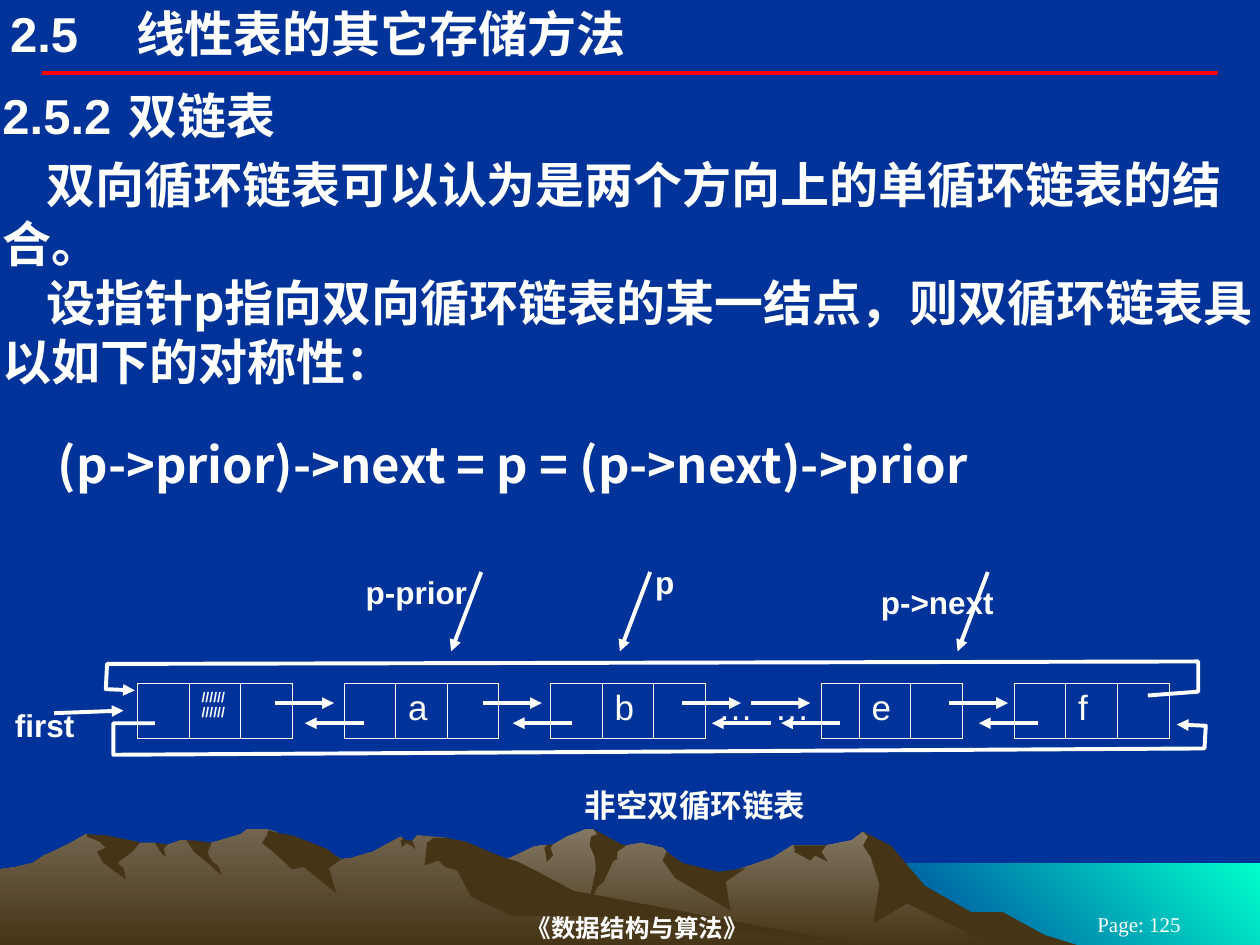
from lxml import etree
from pptx import Presentation
from pptx.dml.color import RGBColor
from pptx.enum.shapes import MSO_CONNECTOR
from pptx.enum.text import MSO_ANCHOR, MSO_AUTO_SIZE, PP_ALIGN
from pptx.oxml.ns import qn
from pptx.util import Inches, Pt

STRAIGHT = MSO_CONNECTOR.STRAIGHT
TOP, MIDDLE = MSO_ANCHOR.TOP, MSO_ANCHOR.MIDDLE
LEFT, CENTER = PP_ALIGN.LEFT, PP_ALIGN.CENTER
NO_AUTOFIT = MSO_AUTO_SIZE.NONE
NO_STYLE_GRID = "{2D5ABB26-0587-4C30-8999-92F81FD0307C}"
CJK_FONT = "Noto Sans CJK SC"
COLORS = {"background": "003399", "white": "FFFFFF", "rule": "FF0000", "sea": "00FFCC",
          "ridge": "837763", "front": "72644E", "rock": "463416"}

# Content
TITLE = "2.5\t线性表的其它存储方法"
SECTION = "2.5.2\t双链表"
EXPLANATION = [
    "双向循环链表可以认为是两个方向上的单循环链表的结合。",
    "设指针p指向双向循环链表的某一结点，则双循环链表具以如下的对称性：",
]
FORMULA = "(p->prior)->next = p = (p->next)->prior"
LABELS = [  # text, left, top, width, height
    ("first", 0.08, 5.56, 0.55, 0.39),
    ("非空双循环链表", 4.45, 6.19, 2.13, 0.39),
    ("p", 5.08, 4.46, 0.39, 0.32),
    ("p-prior", 3.11, 4.54, 0.39, 0.32),
    ("p->next", 6.89, 4.62, 1.1, 0.32),
]

# Doubly linked list: three cells per node, gap cells between nodes
CELL_TEXTS = {1: "////////////", 5: "a", 9: "b", 11: "…", 12: "…", 14: "e", 18: "f"}
GAPS = {3, 7, 11, 12, 16}
CELL_WIDTH, SPECIAL_WIDTHS = 0.41, {11: 0.45, 12: 0.47, 13: 0.3}
CELL_COUNT = 20
NEXT_STARTS = [2.18, 3.83, 5.41, 5.96, 7.53]
PRIOR_STARTS = [2.89, 4.54, 6.12, 6.67, 8.24]
POINTER_STARTS = [3.82, 5.16, 7.84]
LINK_LENGTH = 0.47
LOOPS = [
    [(1.23, 5.74), (0.9, 5.74), (0.9, 5.99), (9.56, 5.94), (9.57, 5.76), (9.34, 5.75)],
    [(9.11, 5.52), (9.51, 5.49), (9.51, 5.25), (0.85, 5.27), (0.84, 5.47), (1.07, 5.48)],
]

# Landscape outlines, from back to front
SEA = [(10, 7.52), (6.83, 7.52), (6.83, 6.85), (10, 6.85)]
BACK_RIDGE = [
    (8.02, 7.4), (7.78, 7.27), (7.64, 7.23), (7.23, 6.98), (7.02, 6.71), (6.85, 6.6), (6.76, 6.67),
    (6.56, 6.71), (6.29, 6.71), (6.13, 6.81), (5.66, 6.97), (5.36, 6.9), (5.29, 6.76), (5.26, 6.73),
    (5.09, 6.69), (4.86, 6.73), (4.74, 6.61), (4.71, 6.58), (4.65, 6.58), (4.5, 6.64), (4.38, 6.71),
    (4.3, 6.71), (4.24, 6.72), (4.05, 6.81), (3.94, 6.85), (3.55, 6.98), (3.27, 7.09), (2.77, 7.39),
    (2.58, 7.51), (8.21, 7.51)]
BACK_ROCKS = [
    [(7.96, 7.24), (7.71, 7.24), (7.34, 7.03), (7.07, 6.71), (6.85, 6.6), (6.89, 6.64), (6.85, 6.71),
     (6.91, 6.8), (6.98, 7.02), (6.93, 7.33), (7.2, 7.17), (7.92, 7.52), (8.58, 7.51), (8.29, 7.42)],
    [(4.71, 6.58), (4.74, 6.62), (4.69, 6.64), (4.68, 6.71), (4.72, 6.8), (4.73, 6.9), (4.65, 7.27),
     (4.74, 7.04), (4.79, 7), (4.87, 6.83), (4.9, 6.82), (4.9, 6.76), (4.97, 6.71), (4.93, 6.7)],
    [(5.29, 6.76), (5.26, 6.83), (5.36, 6.97), (5.8, 7.23), (5.76, 7), (5.92, 6.89), (5.7, 6.92),
     (5.42, 6.85)],
    [(6.5, 6.71), (6.3, 6.71), (6.31, 6.75), (6.3, 6.76), (6.43, 6.83), (6.47, 6.79), (6.57, 6.84),
     (6.52, 6.76), (6.56, 6.71)],
    [(4.33, 6.77), (4.32, 6.73), (4.34, 6.71), (4.39, 6.7), (4.37, 6.73), (4.39, 6.79), (4.34, 6.84)],
]
FRONT_RIDGE = [
    (6.9, 7.51), (6.67, 7.48), (4.32, 7.12), (3.54, 6.65), (3.31, 6.63), (3.27, 6.68), (3.23, 6.68),
    (3.18, 6.64), (2.96, 6.76), (2.79, 6.81), (2.71, 6.82), (2.6, 6.76), (2.36, 6.81), (2.23, 6.63),
    (2.19, 6.6), (2.12, 6.58), (1.96, 6.58), (1.91, 6.62), (1.78, 6.66), (1.6, 6.71), (1.48, 6.67),
    (1.43, 6.67), (1.32, 6.71), (1.28, 6.71), (1.23, 6.69), (1.11, 6.69), (0.94, 6.71), (0.68, 6.62),
    (0.56, 6.69), (0.46, 6.74), (0.35, 6.79), (0.26, 6.85), (0.14, 6.88), (0, 6.9), (0, 7.51)]
FRONT_ROCKS = [
    [(2.12, 6.63), (2.08, 6.69), (2.19, 6.78), (2.32, 6.9), (2.41, 6.88), (2.67, 7.09), (2.61, 6.89),
     (2.71, 6.82), (2.66, 6.79), (2.6, 6.74), (2.45, 6.68), (2.32, 6.63), (2.2, 6.61), (2.13, 6.59)],
    [(3.7, 6.68), (3.54, 6.65), (3.44, 6.65), (3.39, 6.69), (3.37, 6.87), (3.48, 6.83), (3.53, 6.88),
     (3.63, 6.91), (3.74, 7.12), (4.07, 7.27), (4.72, 7.27), (6.9, 7.51), (6.83, 7.5), (4.55, 7.07),
     (4.27, 6.92), (4.11, 6.84), (4.01, 6.81), (3.86, 6.75)],
    [(3.18, 6.67), (3.2, 6.66), (3.18, 6.64), (3.23, 6.67), (3.27, 6.67), (3.3, 6.74), (3.26, 6.71),
     (3.22, 6.69), (3.21, 6.71), (3.19, 6.72)],
    [(1.54, 6.67), (1.68, 6.69), (1.65, 6.76), (1.66, 6.8), (1.69, 6.84), (1.73, 6.87), (1.76, 6.95),
     (1.65, 6.85), (1.54, 6.76), (1.48, 6.67)],
    [(1.33, 6.7), (1.3, 6.74), (1.32, 6.8), (1.29, 6.78), (1.26, 6.74), (1.23, 6.69)],
    [(1.09, 6.68), (1.11, 6.69), (1.05, 6.76), (0.93, 6.85), (0.98, 6.89), (1, 6.98), (0.82, 6.85),
     (0.77, 6.76), (0.84, 6.73), (0.79, 6.68), (0.69, 6.64), (0.69, 6.62), (0.84, 6.63), (0.94, 6.65)],
]


def rgb(name):
    return RGBColor.from_string(COLORS[name])


def write(frame, paragraphs, size=28, font="Arial", bold=True, align=LEFT, anchor=TOP,
          wrap=True, insets=(0.02, 0.01), indent=0, tab=None):
    frame.word_wrap, frame.auto_size, frame.vertical_anchor = wrap, NO_AUTOFIT, anchor
    frame.margin_left = frame.margin_right = Inches(insets[0])
    frame.margin_top = frame.margin_bottom = Inches(insets[1])
    for number, content in enumerate(paragraphs):
        paragraph = frame.add_paragraph() if number else frame.paragraphs[0]
        paragraph.alignment = align
        paragraph.space_before = Pt(0)
        properties = paragraph._p.get_or_add_pPr()
        properties.set("marL", "0")
        properties.set("indent", str(Inches(indent)))
        etree.SubElement(properties, qn("a:buNone"))
        if tab:
            stops = etree.SubElement(properties, qn("a:tabLst"))
            etree.SubElement(stops, qn("a:tab"), pos=str(Inches(tab)), algn="l")
        run = paragraph.add_run()
        run.text = content
        run.font.size, run.font.bold, run.font.name = Pt(size), bold, font
        run.font.color.rgb = rgb("white")
        etree.SubElement(run._r.get_or_add_rPr(), qn("a:ea"), typeface=CJK_FONT)


def place(shape, *box):
    shape.left, shape.top, shape.width, shape.height = map(Inches, box)
    return shape.text_frame


def add_text(slide, content, box, **text_format):
    write(slide.shapes.add_textbox(*map(Inches, box)).text_frame, [content], **text_format)


def style_line(shape, color="white", arrow=True):
    shape.line.color.rgb = rgb(color)
    shape.line.width = Pt(2.25)
    if arrow:
        etree.SubElement(shape.element.xpath(".//a:ln")[0], qn("a:tailEnd"), type="triangle")


def add_line(slide, start, end, **line_format):
    line = slide.shapes.add_connector(STRAIGHT, *map(Inches, start + end))
    style_line(line, **line_format)
    etree.SubElement(line.element.spPr, qn("a:effectLst"))


def add_outline(slide, points, closed=True):
    first, *rest = [(Inches(x), Inches(y)) for x, y in points]
    builder = slide.shapes.build_freeform(*first)
    builder.add_line_segments(rest, close=closed)
    outline = builder.convert_to_shape()
    outline.shadow.inherit = False
    return outline


def add_land(slide, points, colors, angle=90):
    land = add_outline(slide, points)
    land.line.fill.background()
    if len(colors) == 1:
        land.fill.solid()
        land.fill.fore_color.rgb = rgb(colors[0])
        return
    land.fill.gradient()
    land.fill.gradient_angle = 360 - angle
    for stop, color in zip(land.fill.gradient_stops, colors):
        stop.color.rgb = rgb(color)


def add_list_table(slide):
    widths = [SPECIAL_WIDTHS.get(i, CELL_WIDTH) for i in range(CELL_COUNT)]
    frame = slide.shapes.add_table(1, CELL_COUNT, Inches(1.09), Inches(5.42),
                                   Inches(sum(widths)), Inches(0.44))
    frame.element.xpath(".//a:tableStyleId")[0].text = NO_STYLE_GRID
    table = frame.table
    table.first_row = table.horz_banding = False
    for i, width in enumerate(widths):
        table.columns[i].width = Inches(width)
        cell = table.cell(0, i)
        if i in CELL_TEXTS:
            hatched = i == 1
            write(cell.text_frame, [CELL_TEXTS[i]], size=8 if hatched else 20, bold=hatched)
        cell.margin_left = cell.margin_right = Inches(0.1)
        cell.margin_top = cell.margin_bottom = Inches(0.05)
        if i not in GAPS:
            for side in "LRTB":
                border = etree.SubElement(cell._tc.get_or_add_tcPr(), qn("a:ln" + side), w=str(Pt(0.45)))
                fill = etree.SubElement(border, qn("a:solidFill"))
                etree.SubElement(fill, qn("a:srgbClr"), val=COLORS["white"])
        cell.fill.background()


def main():
    deck = Presentation()
    deck.slide_width, deck.slide_height = Inches(10), Inches(7.5)
    slide = deck.slides.add_slide(deck.slide_layouts[1])
    slide.background.fill.solid()
    slide.background.fill.fore_color.rgb = rgb("background")

    # Landscape, title rule and footer
    add_land(slide, SEA, ["sea", "background"], angle=135)
    for ridge, color, rocks in ((BACK_RIDGE, "ridge", BACK_ROCKS), (FRONT_RIDGE, "front", FRONT_ROCKS)):
        add_land(slide, ridge, [color, "rock"])
        for rock in rocks:
            add_land(slide, rock, ["rock"])
    add_line(slide, (0.33, 0.58), (9.67, 0.58), color="rule", arrow=False)
    footer = {"font": "Times New Roman", "align": CENTER, "anchor": MIDDLE}
    add_text(slide, "《数据结构与算法》", (2.03, 7.22, 6.06, 0.28), size=14, **footer)
    add_text(slide, "Page: 125", (8.25, 7.25, 1.58, 0.17), size=12, bold=False, **footer)

    # Headings and explanation
    write(place(slide.shapes.title, 0.08, 0.03, 6.5, 0.47), [TITLE], insets=(0, 0), tab=0.85)
    add_text(slide, SECTION, (0, 0.67, 10, 0.49), tab=1.16)
    write(place(slide.placeholders[1], 0, 1.22, 10, 1.9), EXPLANATION, font=CJK_FONT, indent=0.35)
    add_text(slide, FORMULA, (0, 3.44, 10, 0.49), font=CJK_FONT, indent=0.44)

    # Linked list diagram
    add_list_table(slide)
    add_line(slide, (0.43, 5.66), (0.98, 5.64))
    for x in NEXT_STARTS:
        add_line(slide, (x, 5.58), (x + LINK_LENGTH, 5.58))
    for x in PRIOR_STARTS:
        add_line(slide, (x, 5.74), (x - LINK_LENGTH, 5.74))
    for x in POINTER_STARTS:
        add_line(slide, (x, 4.54), (x - 0.24, 5.17))
    for points in LOOPS:
        loop = add_outline(slide, points, closed=False)
        loop.fill.background()
        style_line(loop)
    for content, *box in LABELS:
        add_text(slide, content, box, size=18, align=CENTER, anchor=MIDDLE, wrap=False, insets=(0.1, 0.05))

    deck.save("out.pptx")


if __name__ == "__main__":
    main()
